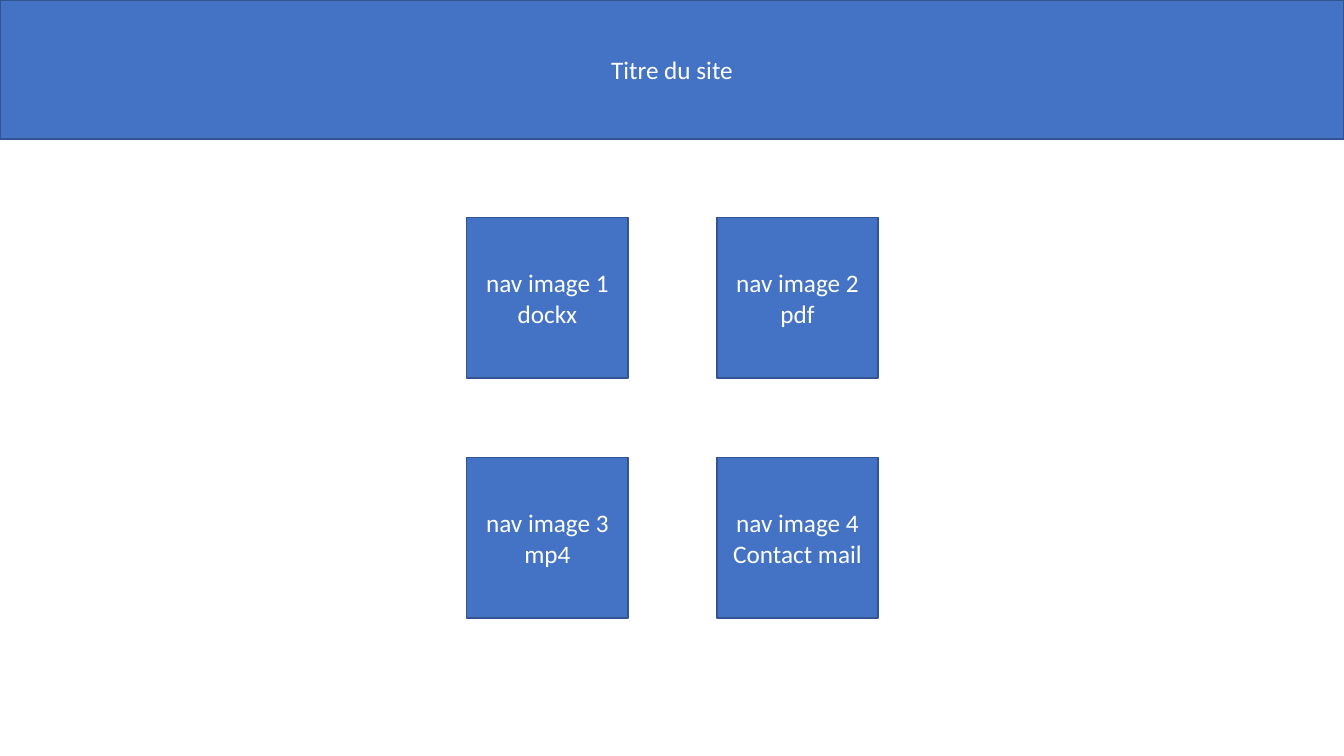
from pptx import Presentation
from pptx.dml.color import RGBColor
from pptx.enum.shapes import MSO_SHAPE
from pptx.enum.text import MSO_ANCHOR, PP_ALIGN
from pptx.util import Inches, Pt

COLORS = {"fill": "4472C4", "line": "325491", "text": "FFFFFF"}
FONT = "Calibri"
SLIDE_W, SLIDE_H = 13.33, 7.5
TILE_W, TILE_H = 1.6, 1.59
NAV_TILES = [
    ["nav image 1", "dockx"],
    ["nav image 2", "pdf"],
    ["nav image 3", "mp4"],
    ["nav image 4", "Contact mail"],
]


def rgb(name):
    return RGBColor.from_string(COLORS[name])


def add_block(slide, left, top, width, height, lines):
    sp = slide.shapes.add_shape(
        MSO_SHAPE.RECTANGLE, Inches(left), Inches(top), Inches(width), Inches(height)
    )
    sp.shadow.inherit = False
    sp.fill.solid()
    sp.fill.fore_color.rgb = rgb("fill")
    sp.line.color.rgb = rgb("line")
    sp.line.width = Pt(1)
    tf = sp.text_frame
    tf.word_wrap = True
    tf.vertical_anchor = MSO_ANCHOR.MIDDLE
    for i, line in enumerate(lines):
        p = tf.add_paragraph() if i else tf.paragraphs[0]
        p.alignment = PP_ALIGN.CENTER
        r = p.add_run()
        r.text = line
        r.font.name = FONT
        r.font.size = Pt(18)
        r.font.color.rgb = rgb("text")


def add_header(slide, left, top, width, height):
    add_block(slide, left, top, width, height, ["Titre du site"])


def add_nav_grid(slide, left, top, width, height):
    step_x, step_y = width - TILE_W, height - TILE_H
    for i, lines in enumerate(NAV_TILES):
        row, col = divmod(i, 2)
        add_block(
            slide, left + col * step_x, top + row * step_y, TILE_W, TILE_H, lines
        )


def main():
    prs = Presentation()
    prs.slide_width = Inches(SLIDE_W)
    prs.slide_height = Inches(SLIDE_H)
    slide = prs.slides.add_slide(prs.slide_layouts[6])
    add_header(slide, 0, 0, SLIDE_W, 1.38)
    add_nav_grid(slide, 4.63, 2.16, 4.08, 3.97)
    prs.save("out.pptx")


if __name__ == "__main__":
    main()
